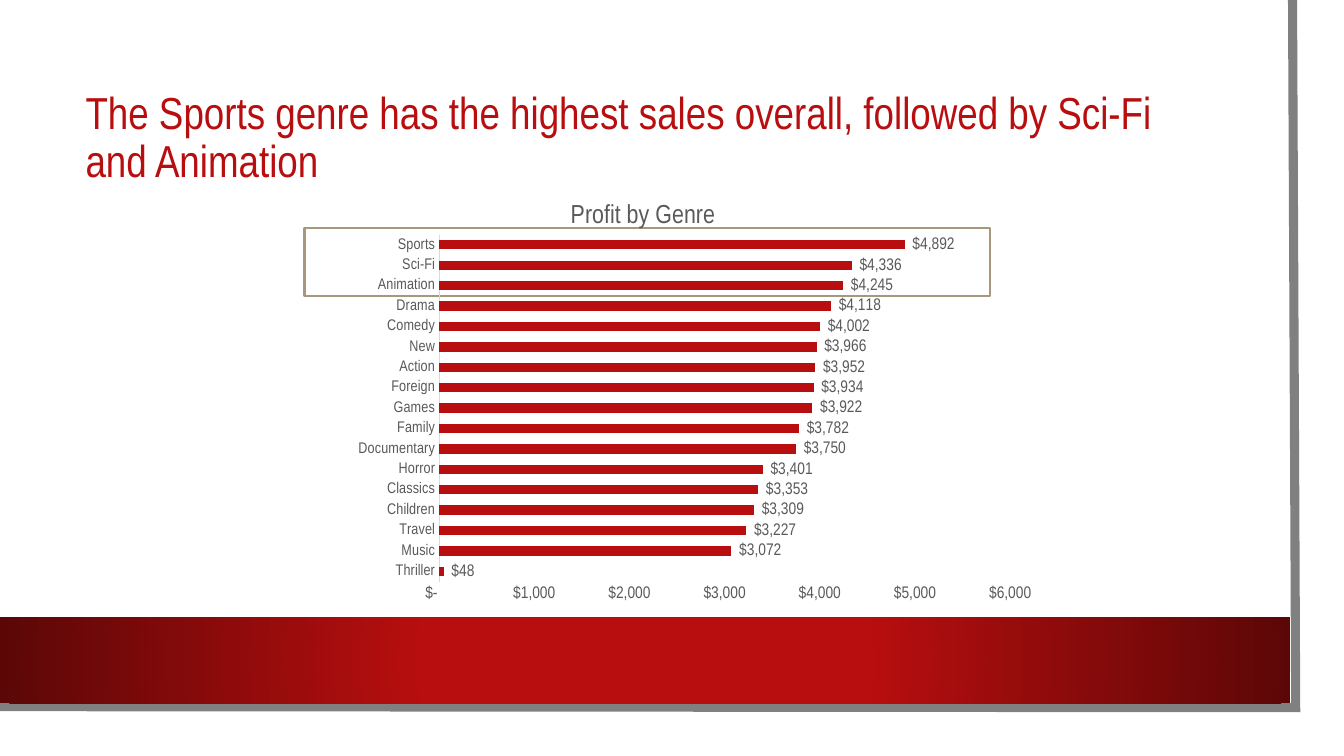
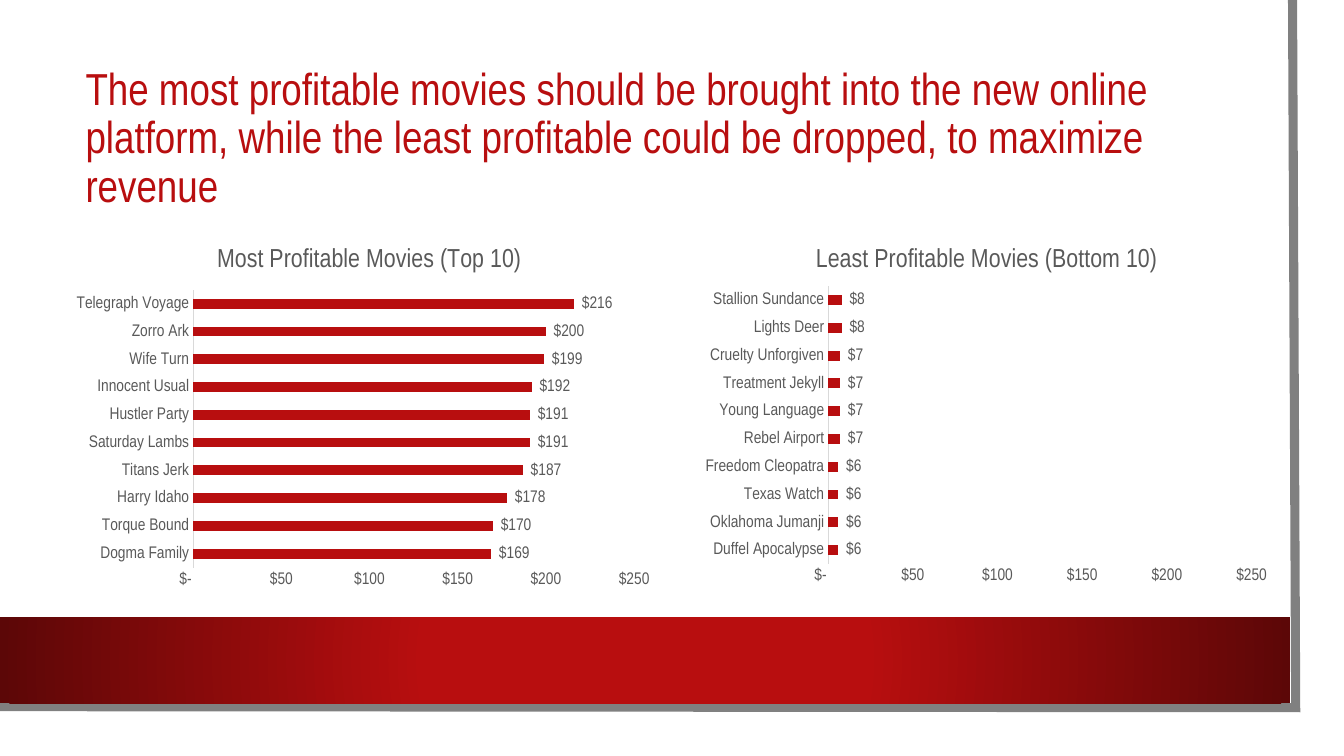
from lxml import etree
from pptx import Presentation
from pptx.chart.data import CategoryChartData
from pptx.dml.color import RGBColor
from pptx.enum.chart import XL_CHART_TYPE, XL_LABEL_POSITION, XL_TICK_MARK
from pptx.enum.shapes import MSO_SHAPE
from pptx.enum.text import MSO_ANCHOR
from pptx.oxml import parse_xml
from pptx.oxml.ns import nsdecls, qn
from pptx.util import Pt

BAR_CLUSTERED = XL_CHART_TYPE.BAR_CLUSTERED
OUTSIDE_END = XL_LABEL_POSITION.OUTSIDE_END
NO_TICK = XL_TICK_MARK.NONE
RECTANGLE = MSO_SHAPE.RECTANGLE
MIDDLE = MSO_ANCHOR.MIDDLE

PX = 9525
FONT = "Arial Narrow"
DOLLARS = r'_("$"* #,##0_);_("$"* \(#,##0\);_("$"* "-"??_);_(@_)'
COLORS = {
    "red": "B80E0F",
    "dark_red": "5C0707",
    "frame": "808080",
    "highlight": "A6987D",
    "white": "FFFFFF",
    "text": "595959",
    "axis": "D9D9D9",
}

GENRES = {
    "Thriller": 48, "Music": 3072, "Travel": 3227, "Children": 3309,
    "Classics": 3353, "Horror": 3401, "Documentary": 3750, "Family": 3782,
    "Games": 3922, "Foreign": 3934, "Action": 3952, "New": 3966,
    "Comedy": 4002, "Drama": 4118, "Animation": 4245, "Sci-Fi": 4336,
    "Sports": 4892,
}
TOP_MOVIES = {
    "Dogma Family": 169, "Torque Bound": 170, "Harry Idaho": 178,
    "Titans Jerk": 187, "Saturday Lambs": 191, "Hustler Party": 191,
    "Innocent Usual": 192, "Wife Turn": 199, "Zorro Ark": 200,
    "Telegraph Voyage": 216,
}
BOTTOM_MOVIES = {
    "Duffel Apocalypse": 6, "Oklahoma Jumanji": 6, "Texas Watch": 6,
    "Freedom Cleopatra": 6, "Rebel Airport": 7, "Young Language": 7,
    "Treatment Jekyll": 7, "Cruelty Unforgiven": 7, "Lights Deer": 8,
    "Stallion Sundance": 8,
}


def px(*lengths):
    return [length * PX for length in lengths]


def rgb(name):
    return RGBColor.from_string(COLORS[name])


def style_font(font, size, color):
    font.name = FONT
    font.size = Pt(size)
    font.color.rgb = rgb(color)


def style_line(line, color, width):
    line.color.rgb = rgb(color)
    line.width = Pt(width)


def add_rectangle(slide, place):
    shape = slide.shapes.add_shape(RECTANGLE, *px(*place))
    shape.shadow.inherit = False
    return shape


def add_frame(slide):
    """Draw the grey edge along the right and bottom of the page."""
    builder = slide.shapes.build_freeform(1231, 0, scale=PX)
    builder.add_line_segments([(1234, 674), (-3, 673)], close=False)
    frame = builder.convert_to_shape()
    frame.shadow.inherit = False
    frame.fill.background()
    style_line(frame.line, "frame", 6.5)
    outline = frame.line._get_or_add_ln()
    etree.SubElement(outline, qn("a:miter"), lim="800000")


def add_band(slide):
    band = add_rectangle(slide, (0, 588, 1229, 82))
    band.line.fill.background()
    band.fill.background()
    properties = band.element.spPr
    gradient = parse_xml(
        f'<a:gradFill {nsdecls("a")} rotWithShape="1"><a:gsLst>'
        f'<a:gs pos="34000"><a:srgbClr val="{COLORS["red"]}"/></a:gs>'
        f'<a:gs pos="100000"><a:srgbClr val="{COLORS["dark_red"]}"/></a:gs>'
        '</a:gsLst><a:path path="circle">'
        '<a:fillToRect l="50000" t="50000" r="50000" b="50000"/>'
        '</a:path></a:gradFill>')
    properties.replace(properties.find(qn("a:noFill")), gradient)


def add_title(slide, text):
    box = slide.shapes.add_textbox(*px(72, 72, 1092, 121))
    frame = box.text_frame
    frame.word_wrap = True
    frame.vertical_anchor = MIDDLE
    para = frame.paragraphs[0]
    para.line_spacing = 0.9
    span = para.add_run()
    span.text = text
    style_font(span.font, 32, "red")


def add_page(deck, title):
    slide = deck.slides.add_slide(deck.slide_layouts[6])
    add_frame(slide)
    add_band(slide)
    add_title(slide, title)
    return slide


def add_highlight(slide, place):
    highlight = add_rectangle(slide, place)
    highlight.fill.solid()
    highlight.fill.fore_color.rgb = rgb("white")
    style_line(highlight.line, "highlight", 1.5)


def clear_background(chart):
    """Let shapes behind the chart show through."""
    clear = (f'<c:spPr {nsdecls("c", "a")}><a:noFill/>'
             '<a:ln><a:noFill/></a:ln></c:spPr>')
    body = chart.element.find(qn("c:chart"))
    body.addnext(parse_xml(clear))
    body.find(qn("c:plotArea")).append(parse_xml(clear))


def place_plot(chart, plot_place):
    """Fix the inner plot area, given as fractions of the chart."""
    area = chart.element.find(qn("c:chart")).find(qn("c:plotArea"))
    for old in area.findall(qn("c:layout")):
        area.remove(old)
    sizes = "".join(f'<c:{key} val="{value}"/>'
                    for key, value in zip("xywh", plot_place))
    area.insert(0, parse_xml(
        f'<c:layout {nsdecls("c")}><c:manualLayout>'
        '<c:layoutTarget val="inner"/><c:xMode val="edge"/>'
        f'<c:yMode val="edge"/>{sizes}</c:manualLayout></c:layout>'))


def style_axes(chart, category_size, maximum, step):
    category, value = chart.category_axis, chart.value_axis
    for axis, size in ((category, category_size), (value, 12)):
        axis.major_tick_mark = axis.minor_tick_mark = NO_TICK
        axis.has_major_gridlines = False
        style_font(axis.tick_labels.font, size, "text")
    style_line(category.format.line, "axis", 0.75)
    value.format.line.fill.background()
    value.minimum_scale = 0
    value.maximum_scale = maximum
    value.major_unit = step
    value.tick_labels.number_format = DOLLARS
    value.tick_labels.number_format_is_linked = False


def style_bars(plot, gap, overlap):
    plot.gap_width = gap
    plot.overlap = overlap
    plot.vary_by_categories = False
    fill = plot.series[0].format.fill
    fill.solid()
    fill.fore_color.rgb = rgb("red")
    plot.has_data_labels = True
    labels = plot.data_labels
    labels.show_value = True
    labels.position = OUTSIDE_END
    labels.number_format = DOLLARS
    labels.number_format_is_linked = False
    style_font(labels.font, 12, "text")


def add_bar_chart(slide, place, title, amounts, plot_place, maximum, step,
                  category_size=12, gap=182, overlap=0):
    data = CategoryChartData()
    data.categories = list(amounts)
    data.add_series("Series 1", list(amounts.values()))
    chart = slide.shapes.add_chart(BAR_CLUSTERED, *px(*place), data).chart
    chart.font.name = FONT
    chart.font.size = Pt(10)
    chart.has_legend = False
    chart.has_title = True
    span = chart.chart_title.text_frame.paragraphs[0].add_run()
    span.text = title
    style_font(span.font, 18.6, "text")
    span.font.bold = False
    style_axes(chart, category_size, maximum, step)
    style_bars(chart.plots[0], gap, overlap)
    clear_background(chart)
    place_plot(chart, plot_place)


def main():
    deck = Presentation()
    deck.slide_width, deck.slide_height = px(1280, 720)

    page = add_page(deck, "The Sports genre has the highest sales overall, "
                          "followed by Sci-Fi and Animation")
    add_highlight(page, (290, 217, 653, 65))
    add_bar_chart(page, (224, 174, 777, 413), "Profit by Genre", GENRES,
                  (0.25, 0.12, 0.7, 0.8), 6000, 1000,
                  category_size=11, gap=120, overlap=50)

    page = add_page(deck, "The most profitable movies should be brought into "
                          "the new online platform, while the least "
                          "profitable could be dropped, to maximize revenue")
    add_bar_chart(page, (72, 217, 560, 348),
                  "Most Profitable Movies (Top 10)", TOP_MOVIES,
                  (0.2, 0.17, 0.75, 0.76), 250, 50)
    add_bar_chart(page, (660, 217, 560, 348),
                  "Least Profitable Movies (Bottom 10)", BOTTOM_MOVIES,
                  (0.23, 0.16, 0.72, 0.76), 250, 50)
    deck.save("out.pptx")


if __name__ == "__main__":
    main()
